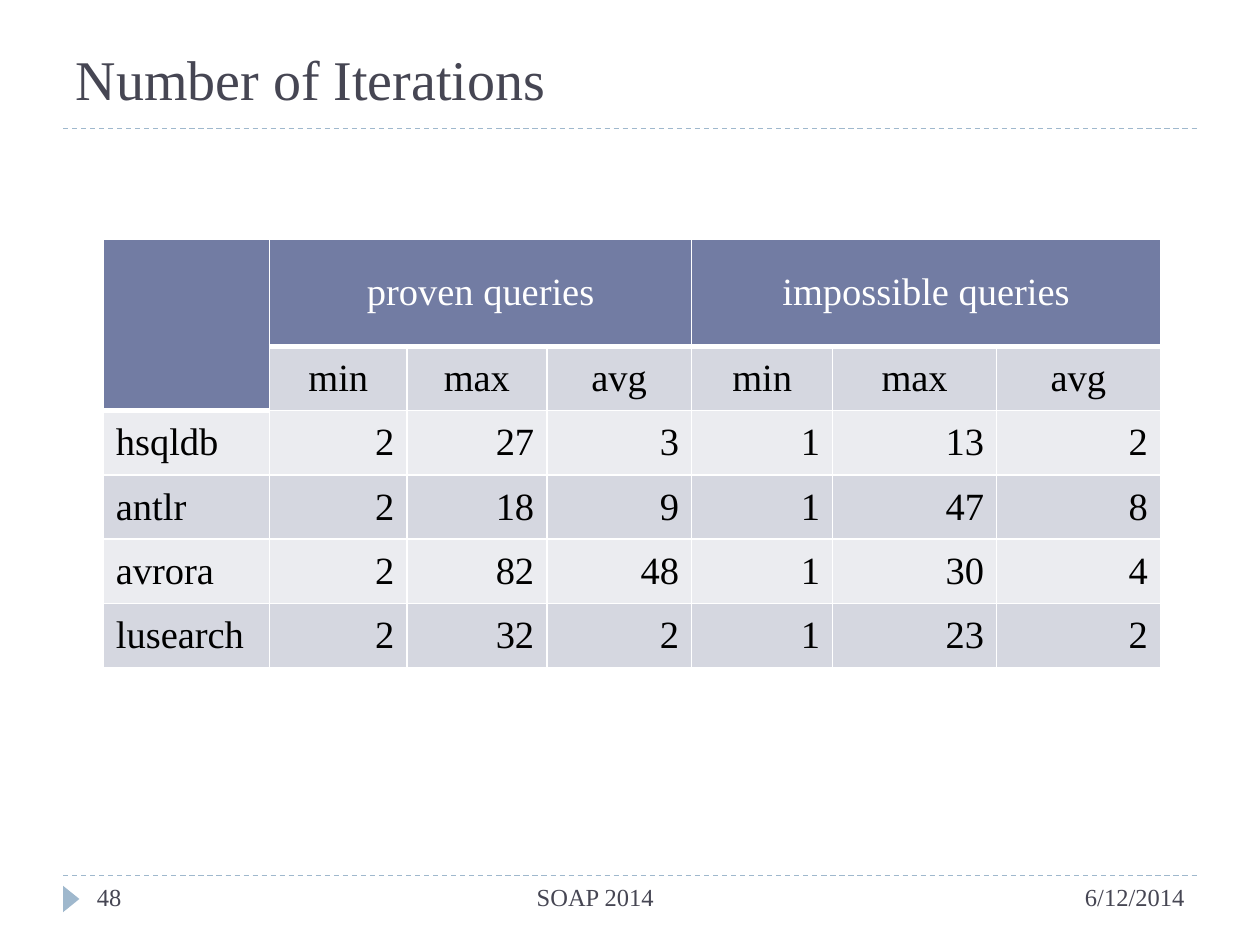
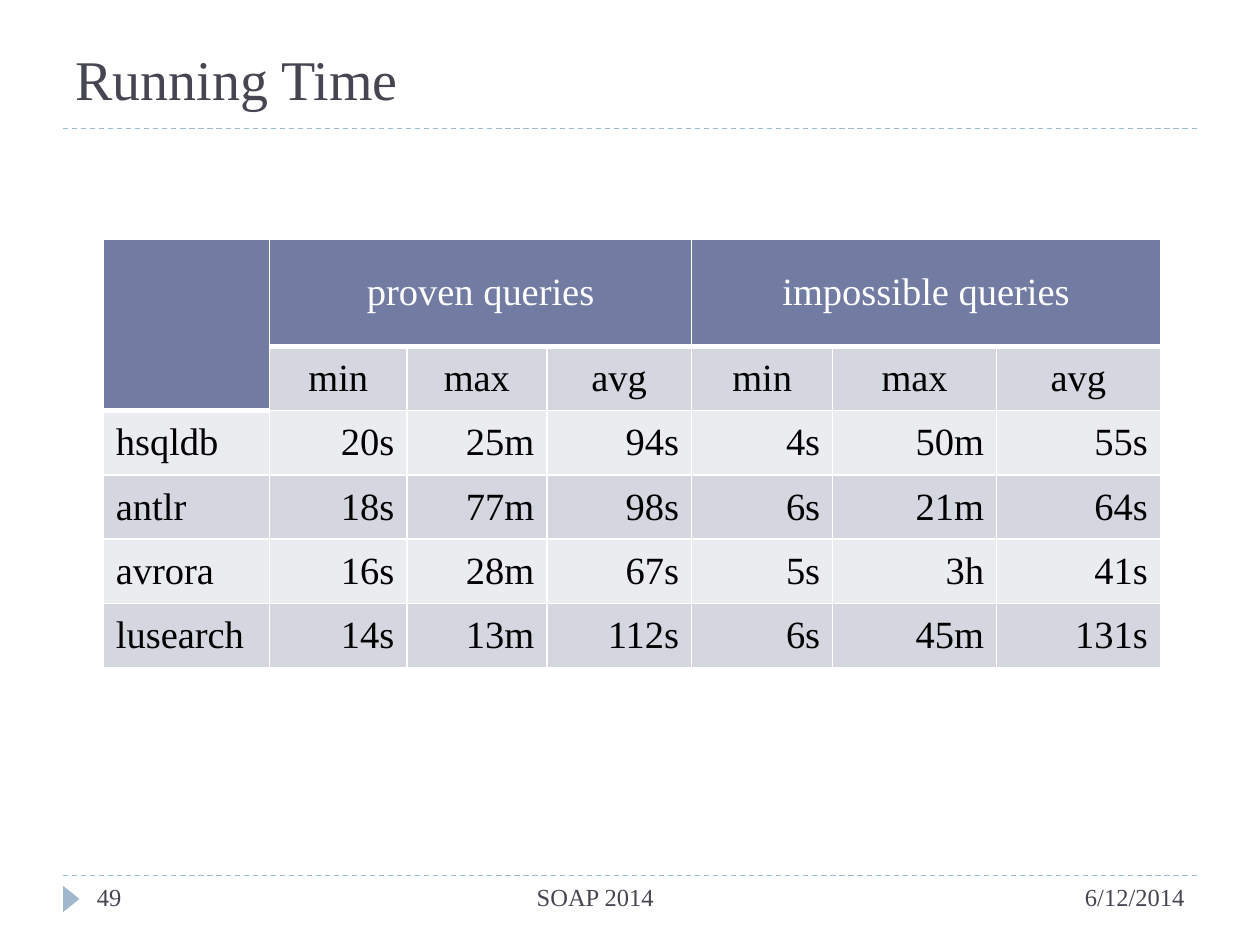
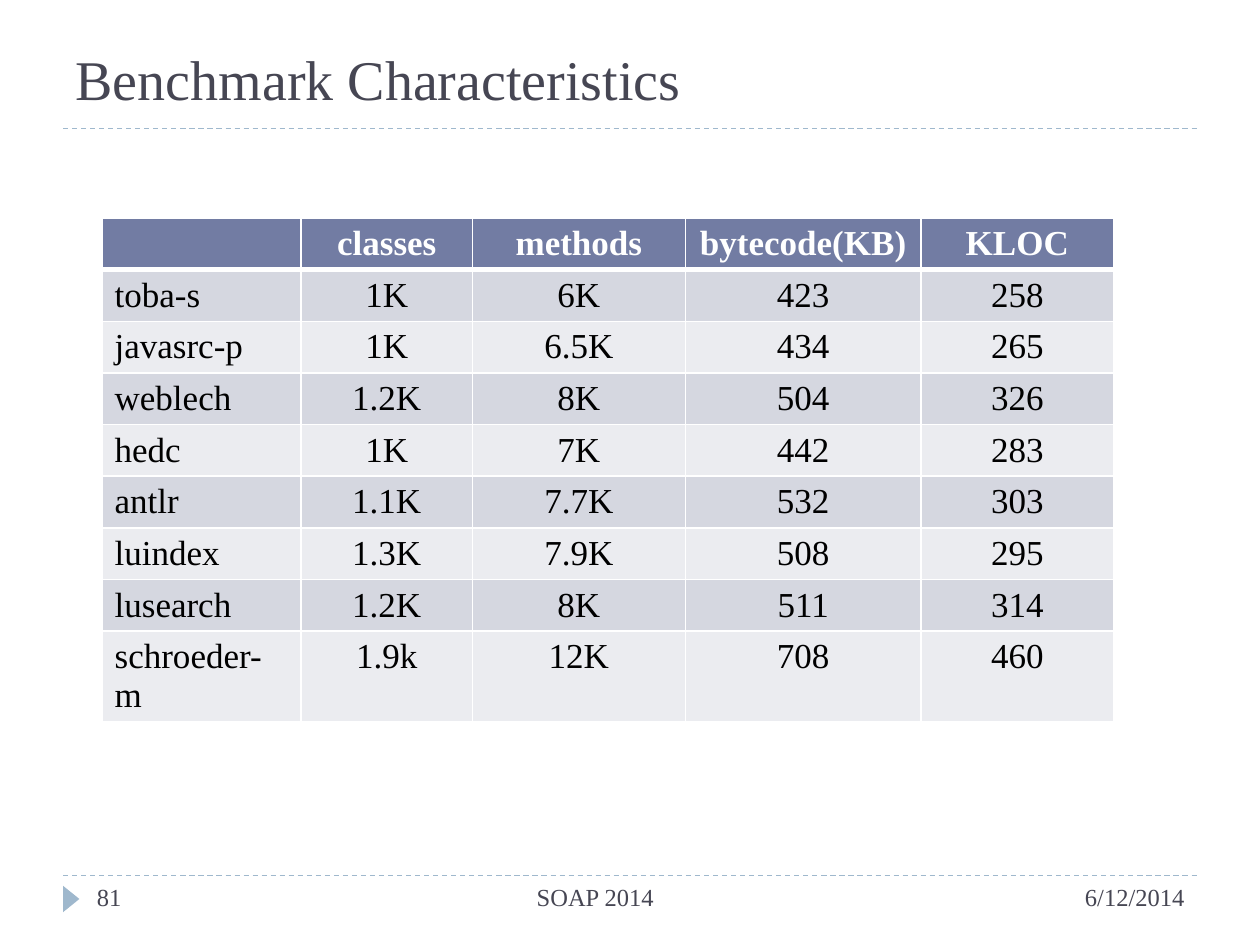
from lxml.etree import SubElement
from pptx import Presentation
from pptx.dml.color import RGBColor
from pptx.enum.dml import MSO_LINE
from pptx.enum.shapes import MSO_CONNECTOR, MSO_SHAPE
from pptx.enum.text import MSO_ANCHOR, PP_ALIGN
from pptx.oxml.ns import qn
from pptx.util import Inches, Pt

INK = RGBColor(0x46, 0x46, 0x53)
RULE = RGBColor(0x9F, 0xB8, 0xCD)
HEADER = RGBColor(0x72, 0x7C, 0xA3)
BAND_DARK = RGBColor(0xD5, 0xD7, 0xE0)
BAND_LIGHT = RGBColor(0xEB, 0xEC, 0xF0)
WHITE = RGBColor(0xFF, 0xFF, 0xFF)
BLACK = RGBColor(0x00, 0x00, 0x00)
FONT = "Times New Roman"

TITLE_BOX = (0.5, 0.17, 9, 0.77)
FOOTER_BOX = (0.5, 6.95, 9, 0.4)
QUERY_BOX = (0.82, 1.9)
QUERY_COLS = (1.32, 1.09, 1.11, 1.15, 1.12, 1.3, 1.3)
QUERY_ROWS = (0.85,) + (0.51,) * 5
BENCHMARK_BOX = (0.81, 1.73)
BENCHMARK_COLS = (1.58, 1.36, 1.69, 1.87, 1.53)
BENCHMARK_ROWS = (0.41,) * 8 + (0.71,)

ITERATIONS = [
    ("hsqldb", "2", "27", "3", "1", "13", "2"),
    ("antlr", "2", "18", "9", "1", "47", "8"),
    ("avrora", "2", "82", "48", "1", "30", "4"),
    ("lusearch", "2", "32", "2", "1", "23", "2"),
]
RUNNING_TIMES = [
    ("hsqldb", "20s", "25m", "94s", "4s", "50m", "55s"),
    ("antlr", "18s", "77m", "98s", "6s", "21m", "64s"),
    ("avrora", "16s", "28m", "67s", "5s", "3h", "41s"),
    ("lusearch", "14s", "13m", "112s", "6s", "45m", "131s"),
]
BENCHMARKS = [
    ("", "classes", "methods", "bytecode(KB)", "KLOC"),
    ("toba-s", "1K", "6K", "423", "258"),
    ("javasrc-p", "1K", "6.5K", "434", "265"),
    ("weblech", "1.2K", "8K", "504", "326"),
    ("hedc", "1K", "7K", "442", "283"),
    ("antlr", "1.1K", "7.7K", "532", "303"),
    ("luindex", "1.3K", "7.9K", "508", "295"),
    ("lusearch", "1.2K", "8K", "511", "314"),
    ("schroeder-m", "1.9k", "12K", "708", "460"),
]


def style_paragraph(p, size, color, align=PP_ALIGN.LEFT, bold=False):
    """Apply the deck font to a paragraph."""
    p.alignment = align
    p.font.name = FONT
    p.font.size = Pt(size)
    p.font.color.rgb = color
    p.font.bold = bold


def add_rule(s, left, top, width):
    """Draw a dashed horizontal rule."""
    line = s.shapes.add_connector(
        MSO_CONNECTOR.STRAIGHT, Inches(left), Inches(top), Inches(left + width), Inches(top))
    line.line.color.rgb = RULE
    line.line.width = Pt(0.75)
    line.line.dash_style = MSO_LINE.DASH
    SubElement(line._element.spPr, qn("a:effectLst"))


def add_title(s, text, box):
    """Place the title and the rule beneath it."""
    left, top, width, height = box
    sp = s.shapes.title
    sp.left, sp.top, sp.width, sp.height = map(Inches, box)
    tf = sp.text_frame
    tf.text = text
    tf.vertical_anchor = MSO_ANCHOR.BOTTOM
    style_paragraph(tf.paragraphs[0], 32, INK)
    add_rule(s, left, top + height + 0.08, width)


def add_footer(s, number, box):
    """Place the footer rule, marker, page number, event and date."""
    left, top, width, height = box
    add_rule(s, left, top, width)
    marker = s.shapes.add_shape(
        MSO_SHAPE.ISOSCELES_TRIANGLE,
        Inches(left - 0.04), Inches(top + 0.12), Inches(0.21), Inches(0.13))
    marker.rotation = 90
    marker.shadow.inherit = False
    marker.fill.solid()
    marker.fill.fore_color.rgb = RULE
    marker.line.fill.background()
    for text, offset, text_width, align in (
        ("6/12/2014", width - 2.5, 2.5, PP_ALIGN.RIGHT),
        (str(number), 0.17, 0.89, PP_ALIGN.LEFT),
        ("SOAP 2014", 1.06, 6.33, PP_ALIGN.CENTER),
    ):
        sp = s.shapes.add_textbox(
            Inches(left + offset), Inches(top), Inches(text_width), Inches(height))
        tf = sp.text_frame
        tf.word_wrap = True
        tf.text = text
        style_paragraph(tf.paragraphs[0], 14, INK, align)


def set_borders(cell, top, bottom):
    """Give a cell white borders with the given top and bottom widths."""
    tcPr = cell._tc.get_or_add_tcPr()
    for index, (side, width) in enumerate((("L", 1), ("R", 1), ("T", top), ("B", bottom))):
        ln = tcPr.makeelement(qn(f"a:ln{side}"), {"w": str(Pt(width))})
        fill = SubElement(ln, qn("a:solidFill"))
        SubElement(fill, qn("a:srgbClr"), val=str(WHITE))
        tcPr.insert(index, ln)


def add_grid(s, box, cols, heights):
    """Add an unstyled table with the given column widths and row heights."""
    left, top = box
    table = s.shapes.add_table(
        len(heights), len(cols), Inches(left), Inches(top),
        Inches(sum(cols)), Inches(sum(heights))).table
    table.first_row = table.horz_banding = False
    for column, width in zip(table.columns, cols):
        column.width = Inches(width)
    for row, height in zip(table.rows, heights):
        row.height = Inches(height)
    return table


def fill_grid(table, rows, size, is_header, align_of, anchor, bold_header=False):
    """Write and format all cells, with banding below the header."""
    for r, row in enumerate(rows):
        for c, text in enumerate(row):
            cell = table.cell(r, c)
            header = is_header(r, c)
            below_header = r > 0 and not header and is_header(r - 1, c)
            cell.text = text
            cell.vertical_anchor = anchor
            cell.fill.solid()
            cell.fill.fore_color.rgb = HEADER if header else BAND_DARK if r % 2 else BAND_LIGHT
            set_borders(cell, 3 if below_header else 1, 3 if header else 1)
            style_paragraph(cell.text_frame.paragraphs[0], size, WHITE if header else BLACK,
                            align_of(r, c), header and bold_header)


def add_query_table(s, results, box):
    """Add a table of results for proven and impossible queries."""
    rows = [
        ("", "proven queries", "", "", "impossible queries", "", ""),
        ("",) + ("min", "max", "avg") * 2,
    ] + results
    table = add_grid(s, box, QUERY_COLS, QUERY_ROWS)
    table.cell(0, 0).merge(table.cell(1, 0))
    for c in (1, 4):
        table.cell(0, c).merge(table.cell(0, c + 2))
    fill_grid(
        table, rows, 22,
        lambda r, c: r == 0 or (r, c) == (1, 0),
        lambda r, c: PP_ALIGN.CENTER if r < 2 else PP_ALIGN.RIGHT if c else PP_ALIGN.LEFT,
        MSO_ANCHOR.MIDDLE)


def add_benchmark_table(s, rows, box):
    """Add the table of benchmark sizes."""
    table = add_grid(s, box, BENCHMARK_COLS, BENCHMARK_ROWS)
    fill_grid(
        table, rows, 20,
        lambda r, c: r == 0,
        lambda r, c: PP_ALIGN.CENTER if c else PP_ALIGN.LEFT,
        MSO_ANCHOR.TOP, bold_header=True)


def add_table_slide(prs, title, number, add_content, rows, box):
    """Add a titled slide that holds one table."""
    s = prs.slides.add_slide(prs.slide_layouts[5])
    add_title(s, title, TITLE_BOX)
    add_content(s, rows, box)
    add_footer(s, number, FOOTER_BOX)


def main():
    """Build and save the deck."""
    prs = Presentation()
    prs.slide_width, prs.slide_height = Inches(10), Inches(7.5)
    add_table_slide(prs, "Number of Iterations", 48, add_query_table, ITERATIONS, QUERY_BOX)
    add_table_slide(prs, "Running Time", 49, add_query_table, RUNNING_TIMES, QUERY_BOX)
    add_table_slide(prs, "Benchmark Characteristics", 81,
                    add_benchmark_table, BENCHMARKS, BENCHMARK_BOX)
    prs.save("out.pptx")


if __name__ == "__main__":
    main()
